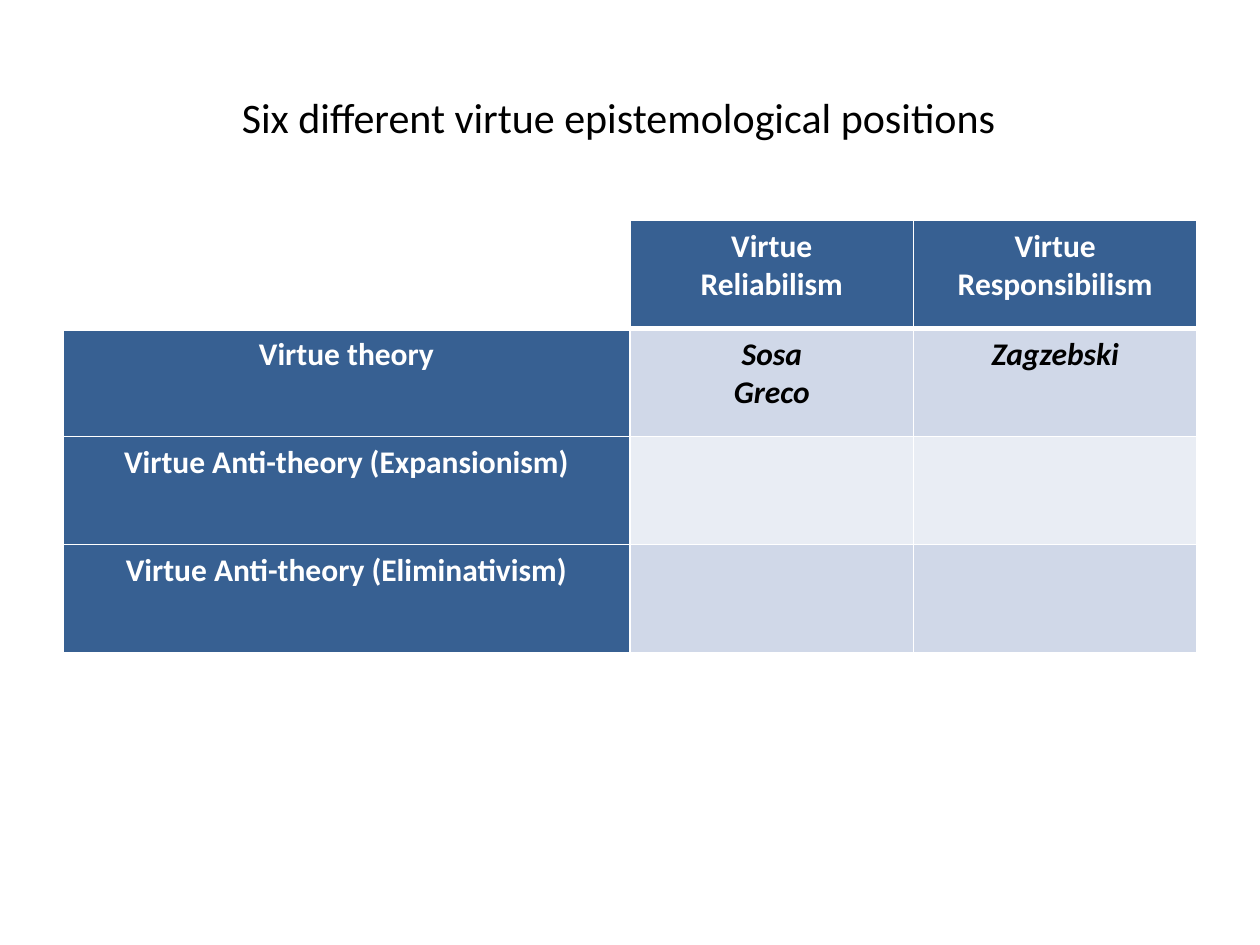
import pptx
import pptx.dml.color
import pptx.enum.text
import pptx.oxml
import pptx.oxml.ns
import pptx.util
from pptx.util import Cm

WHITE = pptx.dml.color.RGBColor(0xFF, 0xFF, 0xFF)
BLACK = pptx.dml.color.RGBColor(0x00, 0x00, 0x00)
BLUE = pptx.dml.color.RGBColor(0x37, 0x60, 0x92)
BAND_DARK = pptx.dml.color.RGBColor(0xD0, 0xD8, 0xE8)
BAND_LIGHT = pptx.dml.color.RGBColor(0xE9, 0xED, 0xF4)

HEADING_FORMAT = {"name": "Calibri", "size": pptx.util.Pt(18), "bold": True, "italic": False}
AUTHOR_FORMAT = {**HEADING_FORMAT, "italic": True}
TITLE_FORMAT = {"name": "Calibri", "size": pptx.util.Pt(24), "bold": False}

POSITIONS = [
    ["", "Virtue\nReliabilism", "Virtue\nResponsibilism"],
    ["Virtue theory", "Sosa\nGreco", "Zagzebski"],
    ["Virtue Anti-theory (Expansionism)", "", ""],
    ["Virtue Anti-theory (Eliminativism)", "", ""],
]
COLUMN_SHARES = [0.5, 0.25, 0.25]


def write_text(text_frame, text, font_format, color):
    """Fill a text frame with centred, formatted paragraphs."""
    text_frame.text = text
    for paragraph in text_frame.paragraphs:
        paragraph.alignment = pptx.enum.text.PP_ALIGN.CENTER
        for run in paragraph.runs:
            for name, value in font_format.items():
                setattr(run.font, name, value)
            run.font.color.rgb = color


def set_borders(cell, widths):
    """Give a cell white borders of the given widths in points."""
    properties = cell._tc.get_or_add_tcPr()
    for side, width in widths.items():
        properties.append(pptx.oxml.parse_xml(
            f'<a:ln{side} {pptx.oxml.ns.nsdecls("a")} w="{pptx.util.Pt(width)}">'
            f'<a:solidFill><a:srgbClr val="{WHITE}"/></a:solidFill></a:ln{side}>'
        ))


def add_title(slide, left, top, width, height):
    """Place the slide title in the given box."""
    title = slide.shapes.title
    box = {"left": left, "top": top, "width": width, "height": height}
    for name, value in box.items():
        setattr(title, name, value)
    title.text_frame.vertical_anchor = pptx.enum.text.MSO_ANCHOR.MIDDLE
    write_text(title.text_frame, "Six different virtue epistemological positions",
               TITLE_FORMAT, BLACK)


def add_positions_table(slide, left, top, width, height):
    """Place the table of epistemological positions in the given box."""
    table = slide.shapes.add_table(
        len(POSITIONS), len(COLUMN_SHARES), left, top, width, height).table
    for column, share in zip(table.columns, COLUMN_SHARES):
        column.width = int(width * share)
    for row_index, row in enumerate(POSITIONS):
        for column_index, text in enumerate(row):
            cell = table.cell(row_index, column_index)
            set_borders(cell, {"L": 1, "R": 1, "T": 3 if row_index == 1 else 1,
                               "B": 3 if row_index == 0 else 1})
            is_heading = row_index == 0 or column_index == 0
            if row_index == column_index == 0:
                cell.fill.background()
            else:
                cell.fill.solid()
                band = BAND_DARK if row_index % 2 else BAND_LIGHT
                cell.fill.fore_color.rgb = BLUE if is_heading else band
            write_text(cell.text_frame, text,
                       HEADING_FORMAT if is_heading else AUTHOR_FORMAT,
                       WHITE if is_heading else BLACK)


def main():
    """Build the presentation and save it."""
    presentation = pptx.Presentation()
    presentation.slide_width = Cm(25.4)
    presentation.slide_height = Cm(19.05)
    slide = presentation.slides.add_slide(presentation.slide_layouts[5])
    add_title(slide, Cm(1.04), Cm(0.76), Cm(22.86), Cm(3.18))
    add_positions_table(slide, Cm(1.27), Cm(4.45), Cm(22.86), Cm(8.71))
    presentation.save("out.pptx")


if __name__ == "__main__":
    main()
